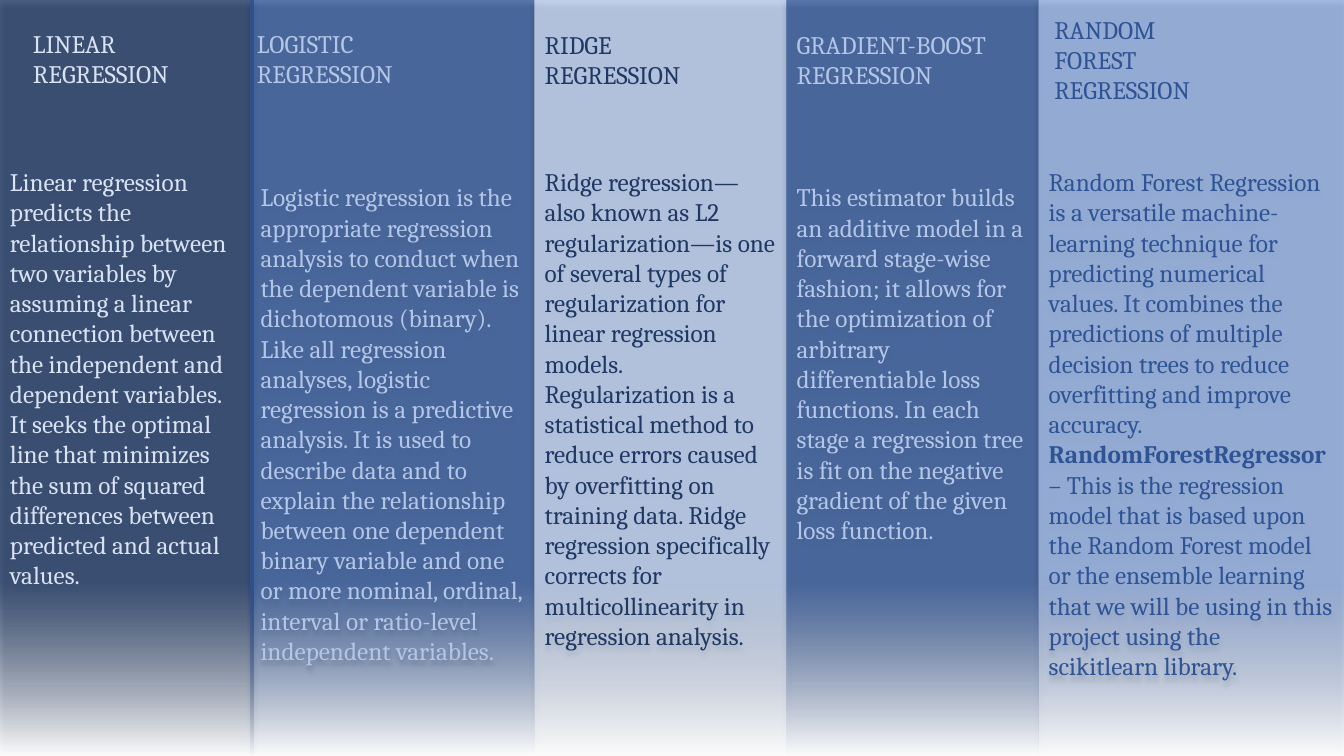
from dataclasses import dataclass

from lxml.etree import SubElement
from pptx import Presentation
from pptx.dml.color import RGBColor
from pptx.enum.shapes import MSO_SHAPE
from pptx.enum.text import MSO_ANCHOR, PP_ALIGN
from pptx.oxml.ns import qn
from pptx.shapes.autoshape import Shape
from pptx.shapes.shapetree import SlideShapes
from pptx.util import Pt


@dataclass(frozen=True)
class Theme:
    navy: str = "1F3864"
    blue: str = "2F5496"
    periwinkle: str = "8DA9DB"
    light_blue: str = "B3C6E7"
    pale_blue: str = "D8E2F3"
    shadow: str = "000000"
    font: str = "Cambria"
    text_size: float = 18


@dataclass(frozen=True)
class Run:
    text: str
    bold: bool = False


@dataclass(frozen=True)
class Box:
    left: float
    top: float
    width: float
    height: float


@dataclass(frozen=True)
class Column:
    title: str
    body: list[list[Run]]
    left: float
    width: float
    title_box: Box
    body_top: float
    fill: str
    text_color: str
    opacity: int = 80


THEME = Theme()
SLIDE_WIDTH, SLIDE_HEIGHT = 960, 540
HIGH_TEXT, LOW_TEXT = 119, 129.8

COLUMNS = [
    Column(
        "LINEAR REGRESSION",
        [[Run("Linear regression predicts the relationship between two variables by "
              "assuming a linear connection between the independent and dependent "
              "variables. It seeks the optimal line that minimizes the sum of squared "
              "differences between predicted and actual values.")]],
        0, 181, Box(16.5, 16.5, 135.5, 51), HIGH_TEXT, THEME.navy, THEME.pale_blue,
    ),
    Column(
        "LOGISTIC REGRESSION",
        [[Run("Logistic regression is the appropriate regression analysis to conduct "
              "when the dependent variable is dichotomous (binary). Like all regression "
              "analyses, logistic regression is a predictive analysis. It is used to "
              "describe data and to explain the relationship between one dependent "
              "binary variable and one or more nominal, ordinal, interval or "
              "ratio-level independent variables.")]],
        179, 203, Box(176.5, 16.5, 157.5, 51), LOW_TEXT, THEME.blue, THEME.light_blue, 79,
    ),
    Column(
        "RIDGE REGRESSION",
        [[Run("Ridge regression—also known as L2 regularization—is one of several types "
              "of regularization for linear regression models. Regularization is a "
              "statistical method to reduce errors caused by overfitting on training "
              "data. Ridge regression specifically corrects "
              "for multicollinearity in regression analysis.")]],
        382, 180, Box(382, 17.5, 133, 51), HIGH_TEXT, THEME.light_blue, THEME.navy,
    ),
    Column(
        "GRADIENT-BOOST REGRESSION",
        [[Run("This estimator builds an additive model in a forward stage-wise fashion; "
              "it allows for the optimization of arbitrary differentiable loss "
              "functions. In each stage a regression tree is fit on the negative "
              "gradient of the given loss function.")]],
        562, 180, Box(562, 17.5, 229.5, 51), LOW_TEXT, THEME.blue, THEME.light_blue, 79,
    ),
    Column(
        "RANDOM FOREST REGRESSION",
        [
            [Run("Random Forest Regression is a versatile machine-learning technique for "
                 "predicting numerical values. It combines the predictions of multiple "
                 "decision trees to reduce overfitting and improve accuracy.")],
            [Run("RandomForestRegressor ", bold=True),
             Run("– This is the regression model that is based upon the Random Forest "
                 "model or the ensemble learning that we will be using in this project "
                 "using the scikitlearn library.")],
        ],
        742, 218, Box(746, 6.5, 142, 73), HIGH_TEXT, THEME.periwinkle, THEME.blue,
    ),
]


def write_text(shape: Shape, paragraphs: list[list[Run]], *, color: str,
               top_inset: float = 3.6) -> None:
    frame = shape.text_frame
    frame.word_wrap = True
    frame.vertical_anchor = MSO_ANCHOR.TOP
    frame.margin_top = Pt(top_inset)
    for index, runs in enumerate(paragraphs):
        paragraph = frame.add_paragraph() if index else frame.paragraphs[0]
        paragraph.alignment = PP_ALIGN.LEFT
        for item in runs:
            run = paragraph.add_run()
            run.text = item.text
            run.font.name = THEME.font
            run.font.size = Pt(THEME.text_size)
            run.font.bold = item.bold
            run.font.color.rgb = RGBColor.from_string(color)


def fade_to_bottom(shape: Shape, color: str, opacity: int) -> None:
    shape.fill.gradient()
    shape.fill.gradient_angle = 90
    stops = shape._element.spPr.find(".//" + qn("a:gsLst"))
    for stop in list(stops):
        stops.remove(stop)
    for position, alpha in ((0, 0), (23, opacity), (100, opacity)):
        stop = SubElement(stops, qn("a:gs"), pos=str(position * 1000))
        stop_color = SubElement(stop, qn("a:srgbClr"), val=color)
        SubElement(stop_color, qn("a:alpha"), val=str(alpha * 1000))


def cast_shadow(shape: Shape) -> None:
    shape.shadow.inherit = False
    effects = shape._element.spPr.find(qn("a:effectLst"))
    shadow = SubElement(effects, qn("a:outerShdw"), blurRad=str(Pt(4)),
                        dist=str(Pt(3)), dir="5400000", rotWithShape="0")
    shadow_color = SubElement(shadow, qn("a:srgbClr"), val=THEME.shadow)
    SubElement(shadow_color, qn("a:alpha"), val="40000")


def draw_column(shapes: SlideShapes, column: Column) -> None:
    group = shapes.add_group_shape()
    panel = group.shapes.add_shape(
        MSO_SHAPE.RECTANGLE, Pt(column.left), Pt(0), Pt(column.width), Pt(SLIDE_HEIGHT))
    fade_to_bottom(panel, column.fill, column.opacity)
    panel.line.fill.background()
    cast_shadow(panel)
    write_text(panel, column.body, color=column.text_color, top_inset=column.body_top)

    box = column.title_box
    title = group.shapes.add_textbox(
        Pt(box.left), Pt(box.top), Pt(box.width), Pt(box.height))
    write_text(title, [[Run(column.title)]], color=column.text_color)


def main() -> None:
    presentation = Presentation()
    presentation.slide_width = Pt(SLIDE_WIDTH)
    presentation.slide_height = Pt(SLIDE_HEIGHT)
    slide = presentation.slides.add_slide(presentation.slide_layouts[6])
    for column in COLUMNS:
        draw_column(slide.shapes, column)
    presentation.save("out.pptx")


if __name__ == "__main__":
    main()
